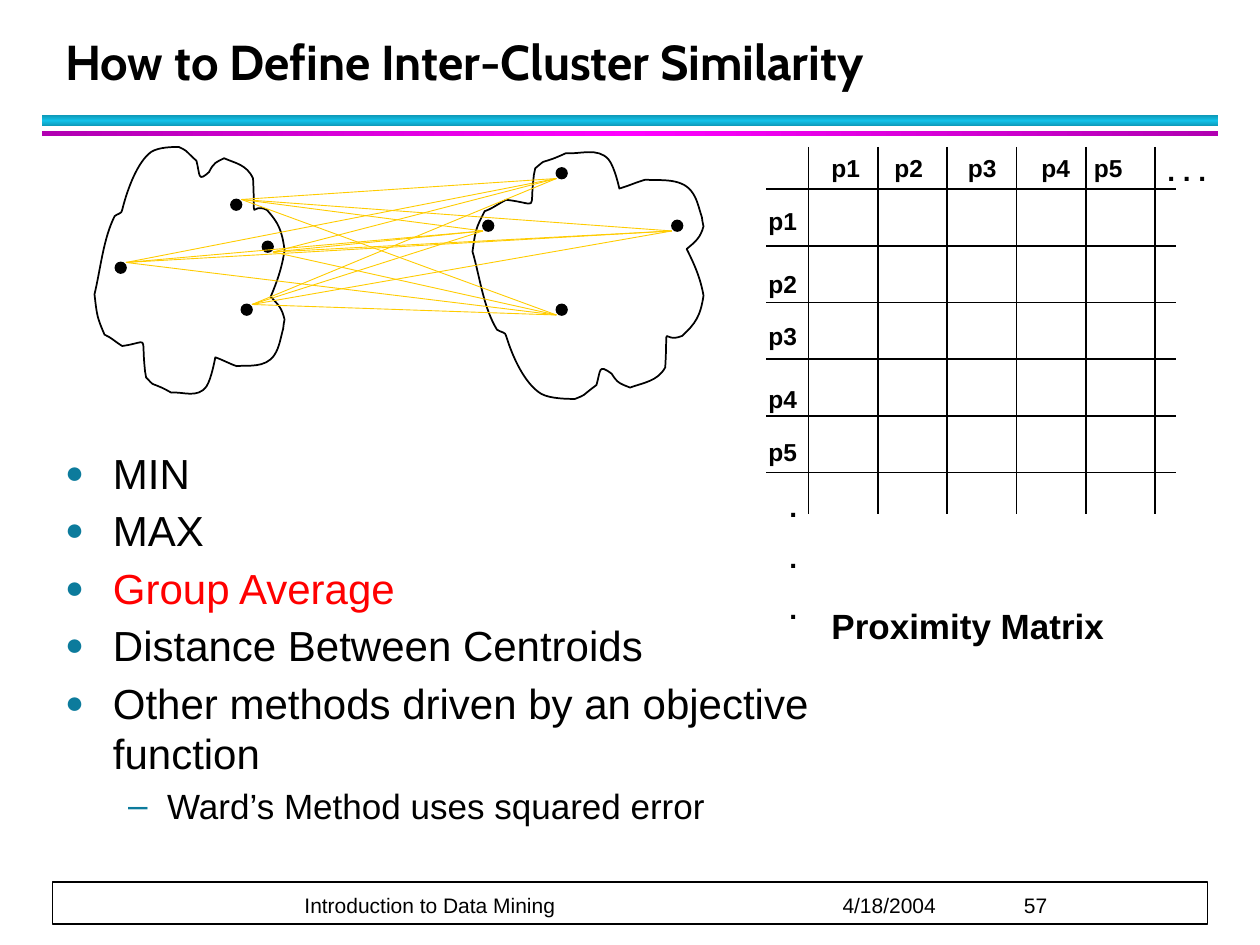
import collections
import copy
import itertools

import lxml.etree
import pptx
import pptx.dml.color
import pptx.enum.shapes
import pptx.enum.text
import pptx.oxml
import pptx.oxml.ns
import pptx.util

RGBColor = pptx.dml.color.RGBColor
BLACK = RGBColor(0x00, 0x00, 0x00)
WHITE = RGBColor(0xFF, 0xFF, 0xFF)
RED = RGBColor(0xFF, 0x00, 0x00)
GOLD = RGBColor(0xFF, 0xCC, 0x00)
TEAL = RGBColor(0x0C, 0x7B, 0x9C)
CYAN_EDGE = RGBColor(0x0E, 0x9A, 0xB9)
CYAN = RGBColor(0x12, 0xC2, 0xE9)
PURPLE = RGBColor(0xB1, 0x00, 0xB1)
MAGENTA = RGBColor(0xFF, 0x00, 0xFF)

CELLS_PER_INCH = 12
Box = collections.namedtuple("Box", "left top width height")
SHAPES = pptx.enum.shapes.MSO_SHAPE
ANCHOR = pptx.enum.text.MSO_ANCHOR

OUTLINE_START = (16, 55)
OUTLINE_CURVES = [
    (7, 73, 5, 96, 0, 117), (2, 134, 2, 135, 8, 149),
    (13, 151, 17, 155, 22, 158), (44, 155, 37, 148, 40, 176),
    (40, 179, 41, 181, 41, 183), (48, 190, 44, 187, 51, 190),
    (54, 191, 61, 195, 61, 195), (70, 194, 82, 200, 89, 190),
    (93, 184, 96, 167, 96, 167), (102, 169, 107, 172, 113, 174),
    (121, 173, 136, 176, 143, 165), (147, 159, 148, 151, 150, 144),
    (150, 142, 151, 137, 151, 137), (149, 128, 146, 125, 140, 119),
    (145, 107, 149, 96, 151, 82), (149, 66, 146, 60, 137, 50),
    (123, 43, 128, 65, 126, 25), (121, 14, 112, 13, 103, 9),
    (97, 12, 95, 12, 91, 20), (82, 28, 84, 23, 81, 11),
    (70, 1, 75, 4, 67, 0), (63, 0, 51, 0, 45, 4),
    (34, 12, 26, 34, 22, 50), (22, 53, 18, 53, 16, 55),
]
OUTLINE_WIDTH, OUTLINE_HEIGHT = 151, 200
LEFT_DOTS = [(14, 15), (16, 9), (2, 11), (13, 5)]
LEFT_ENDS = [(15, 15), (17, 10), (3, 11), (14, 5)]
RIGHT_DOTS = [(8, 15), (1, 7), (8, 2), (19, 7)]
RIGHT_ENDS = [(x, y + 1) for x, y in RIGHT_DOTS]


def cells(*values):
    return [pptx.util.Inches(value / CELLS_PER_INCH) for value in values]


def add_line(page, start, end, color, width):
    line = page.shapes.add_connector(
        pptx.enum.shapes.MSO_CONNECTOR.STRAIGHT, *cells(*start, *end))
    line.line.color.rgb = color
    line.line.width = pptx.util.Pt(width)
    lxml.etree.SubElement(line._element.spPr, pptx.oxml.ns.qn("a:effectLst"))


def add_block(page, kind, box, color):
    block = page.shapes.add_shape(kind, *cells(*box))
    block.shadow.inherit = False
    block.fill.solid()
    block.fill.fore_color.rgb = color
    block.line.color.rgb = BLACK
    block.line.width = pptx.util.Pt(1)
    return block


def set_font(para, size, color=BLACK, bold=False, name="Arial"):
    para.font.name = name
    para.font.size = pptx.util.Pt(size)
    para.font.bold = bold
    para.font.color.rgb = color


def add_label(page, box, lines, size, gap=0):
    frame = page.shapes.add_textbox(*cells(*box)).text_frame
    frame.word_wrap = True
    frame.text = "\n".join(lines)
    for index, para in enumerate(frame.paragraphs):
        if index:
            para.space_before = pptx.util.Pt(gap)
        set_font(para, size, bold=True)


def add_band(page, box, edge, middle, angle):
    band = add_block(page, SHAPES.RECTANGLE, box, edge)
    band.line.fill.background()
    band.fill.gradient()
    band.fill.gradient_angle = angle
    first, second = band.fill.gradient_stops
    first.color.rgb, first.position = edge, 0
    second.color.rgb, second.position = middle, 0.5
    stops = band._element.spPr.find(".//" + pptx.oxml.ns.qn("a:gsLst"))
    last = copy.deepcopy(stops[0])
    last.set("pos", "100000")
    stops.append(last)


def add_title(page, box):
    title = page.shapes.title
    title.left, title.top, title.width, title.height = cells(*box)
    frame = title.text_frame
    frame.text = "How to Define Inter-Cluster Similarity"
    frame.auto_size = pptx.enum.text.MSO_AUTO_SIZE.NONE
    frame.vertical_anchor = ANCHOR.BOTTOM
    para = frame.paragraphs[0]
    para.alignment = pptx.enum.text.PP_ALIGN.LEFT
    para.line_spacing = pptx.util.Pt(36)
    set_font(para, 28, bold=True, name="Cabin")


def add_bullet(para, char, percent, margin, indent):
    props = para._p.get_or_add_pPr()
    props.set("marL", str(pptx.util.Inches(margin)))
    props.set("indent", str(pptx.util.Inches(-indent)))
    space = pptx.oxml.ns.nsdecls("a")
    for xml in (f'<a:buClr {space}><a:srgbClr val="{TEAL}"/></a:buClr>',
                f'<a:buSzPct {space} val="{percent * 1000}"/>',
                f'<a:buFont {space} typeface="Arial"/>',
                f'<a:buChar {space} char="{char}"/>'):
        props.append(pptx.oxml.parse_xml(xml))


def add_methods(page, box):
    body = page.placeholders[1]
    body.left, body.top, body.width, body.height = cells(*box)
    frame = body.text_frame
    frame.text = "\n".join([
        "MIN", "MAX", "Group Average", "Distance Between Centroids",
        "Other methods driven by an objective function",
        "Ward’s Method uses squared error"])
    frame.auto_size = pptx.enum.text.MSO_AUTO_SIZE.NONE
    frame.vertical_anchor = ANCHOR.TOP
    *methods, detail = frame.paragraphs
    detail.level = 1
    for para in frame.paragraphs:
        para.space_before = pptx.util.Pt(0 if para.text == "MIN" else 2)
        para.space_after = pptx.util.Pt(2)
    for para in methods:
        add_bullet(para, "●", 75, 0.38, 0.38)
        set_font(para, 24, RED if para.text == "Group Average" else BLACK)
    add_bullet(detail, "–", 100, 0.81, 0.31)
    set_font(detail, 20)


def add_cluster(page, box, dots, flipped=False):
    def place(x, y):
        y = OUTLINE_HEIGHT - y if flipped else y
        return cells(box.left + x / OUTLINE_WIDTH * box.width,
                     box.top + y / OUTLINE_HEIGHT * box.height)

    builder = page.shapes.build_freeform(*place(*OUTLINE_START))
    builder.add_line_segments(
        [place(*curve[i:i + 2]) for curve in OUTLINE_CURVES for i in (0, 2, 4)])
    cloud = builder.convert_to_shape()
    segments = cloud._element.findall(".//" + pptx.oxml.ns.qn("a:lnTo"))
    for first, second, third in zip(*[iter(segments)] * 3):
        curve = lxml.etree.Element(pptx.oxml.ns.qn("a:cubicBezTo"))
        first.addprevious(curve)
        for segment in (first, second, third):
            curve.append(segment[0])
            segment.getparent().remove(segment)
    cloud.shadow.inherit = False
    cloud.fill.background()
    cloud.line.color.rgb = BLACK
    cloud.line.width = pptx.util.Pt(1)
    for x, y in dots:
        add_block(page, SHAPES.OVAL, Box(box.left + x, box.top + y, 1, 1), BLACK)


def add_links(page, left_box, right_box):
    for (x1, y1), (x2, y2) in itertools.product(LEFT_ENDS, RIGHT_ENDS):
        add_line(page, (left_box.left + x1, left_box.top + y1),
                 (right_box.left + x2, right_box.top + y2), GOLD, 0.5)


def add_matrix(page, box):
    left, top = box.left, box.top
    for index in range(6):
        x, y = left + 5 + 6.6 * index, top + 4 + 5.4 * index
        add_line(page, (x, top), (x, top + 35), BLACK, 1)
        add_line(page, (left + 1, y), (left + 40, y), BLACK, 1)
    offsets = zip((6, 12, 19, 26, 31), (5, 11, 16, 22, 27))
    for number, (x, y) in enumerate(offsets, start=1):
        add_label(page, Box(left + x, top, 7, 4), [f"p{number}"], 14)
        add_label(page, Box(left, top + y, 7, 4), [f"p{number}"], 14)
    add_label(page, Box(left + 38, top, 7, 4.4), [". . ."], 16)
    add_label(page, Box(left + 2, top + 32, 7, 14.2), ["."] * 3, 16, gap=10)
    add_label(page, Box(left + 6, top + 43, 33, 5.3), ["Proximity Matrix"], 20)


def add_footer(page, box):
    frame = add_block(page, SHAPES.RECTANGLE, box, WHITE).text_frame
    frame.margin_left = frame.margin_right = frame.margin_top = 0
    frame.margin_bottom = pptx.util.Inches(0.05)
    frame.vertical_anchor = ANCHOR.BOTTOM
    frame.text = "\tIntroduction to Data Mining\t4/18/2004\t57"
    para = frame.paragraphs[0]
    para.alignment = pptx.enum.text.PP_ALIGN.LEFT
    para.line_spacing = pptx.util.Pt(20)
    tabs = lxml.etree.SubElement(para._p.get_or_add_pPr(), pptx.oxml.ns.qn("a:tabLst"))
    for stop in (2, 6.27, 7.71):
        lxml.etree.SubElement(tabs, pptx.oxml.ns.qn("a:tab"),
                              pos=str(pptx.util.Inches(stop)), algn="l")
    set_font(para, 12)


def main():
    deck = pptx.Presentation()
    deck.slide_width, deck.slide_height = cells(120, 90)
    page = deck.slides.add_slide(deck.slide_layouts[1])
    left_box, right_box = Box(9, 14, 18.1, 24), Box(45, 14, 22, 24)
    add_band(page, Box(4, 11, 112, 1), CYAN_EDGE, CYAN, 90)
    add_band(page, Box(4, 12.5, 112, 0.5), PURPLE, MAGENTA, 0)
    add_footer(page, Box(5, 84, 110, 4))
    add_title(page, Box(5, 2, 108.75, 7.2))
    add_matrix(page, Box(72, 14, 45, 48))
    add_cluster(page, left_box, LEFT_DOTS)
    add_cluster(page, right_box, RIGHT_DOTS, flipped=True)
    add_links(page, left_box, right_box)
    add_methods(page, Box(5, 42, 76, 41))
    deck.save("out.pptx")


if __name__ == "__main__":
    main()
